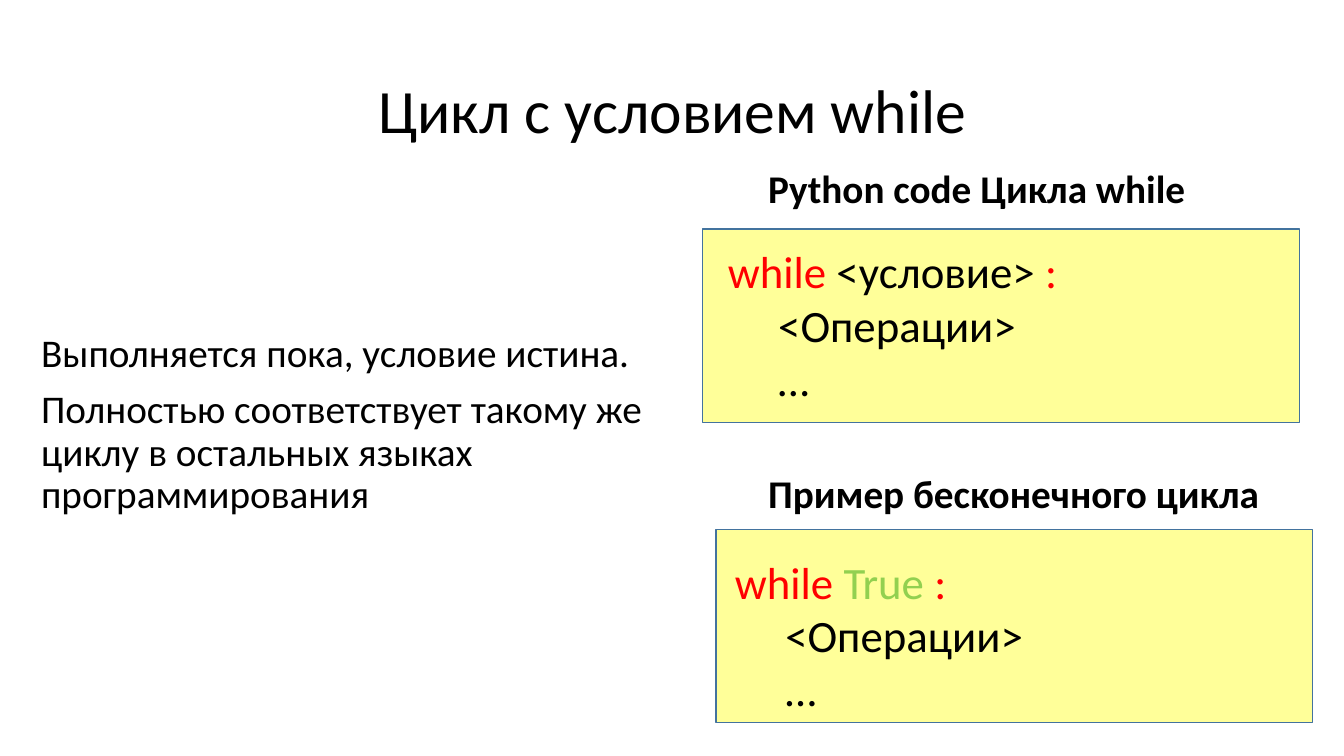
from pptx import Presentation
from pptx.dml.color import RGBColor
from pptx.enum.shapes import MSO_SHAPE
from pptx.enum.text import MSO_ANCHOR, PP_ALIGN
from pptx.util import Inches, Pt

RECTANGLE = MSO_SHAPE.RECTANGLE
MIDDLE = MSO_ANCHOR.MIDDLE
CENTER = PP_ALIGN.CENTER

BLACK = "000000"
RED = "FF0000"
GREEN = "92D050"


def rgb(value):
    return RGBColor.from_string(value)


def add_text(left, top, width, height, lines, size, bold=False):
    frame = slide.shapes.add_textbox(
        Inches(left), Inches(top), Inches(width), Inches(height)
    ).text_frame
    frame.word_wrap = True
    for index, line in enumerate(lines):
        paragraph = frame.paragraphs[0] if index == 0 else frame.add_paragraph()
        for words, color in line:
            run = paragraph.add_run()
            run.text = words
            run.font.name = "Calibri"
            run.font.size = Pt(size)
            run.font.bold = bold
            run.font.color.rgb = rgb(color)
    return frame


presentation = Presentation()
presentation.slide_width = Inches(13.33)
presentation.slide_height = Inches(7.5)
slide = presentation.slides.add_slide(presentation.slide_layouts[6])

title = add_text(0.92, 0.4, 11.5, 1.45, [[("Цикл с условием while", BLACK)]], 44)
title.vertical_anchor = MIDDLE
title.paragraphs[0].alignment = CENTER
title.paragraphs[0].line_spacing = 0.9

explanation = add_text(0.31, 3.26, 6.46, 3.04, [
    [("Выполняется пока, условие истина.", BLACK)],
    [("Полностью соответствует такому же циклу в остальных языках программирования", BLACK)],
], 28)
for paragraph in explanation.paragraphs:
    paragraph.line_spacing = 0.9
    paragraph.space_before = Pt(10)

examples = [
    ("Python code Цикла while", 1.58, (6.97, 2.27), (7.12, 2.37), "<условие> ", BLACK),
    ("Пример бесконечного цикла", 4.61, (7.1, 5.25), (7.19, 5.45), "True ", GREEN),
]
for heading, heading_top, panel_at, code_at, condition, condition_color in examples:
    panel = slide.shapes.add_shape(
        RECTANGLE, Inches(panel_at[0]), Inches(panel_at[1]), Inches(5.92), Inches(1.92)
    )
    panel.shadow.inherit = False
    panel.fill.solid()
    panel.fill.fore_color.rgb = rgb("FFFF99")
    panel.line.color.rgb = rgb("43739E")
    panel.line.width = Pt(1)

    add_text(7.52, heading_top, 5.1, 0.57, [[(heading, BLACK)]], 28, bold=True)
    add_text(*code_at, 5.84, 1.72, [
        [("while ", RED), (condition, condition_color), (":", RED)],
        [("\t<Операции>", BLACK)],
        [("\t…", BLACK)],
    ], 32)

presentation.save("out.pptx")
